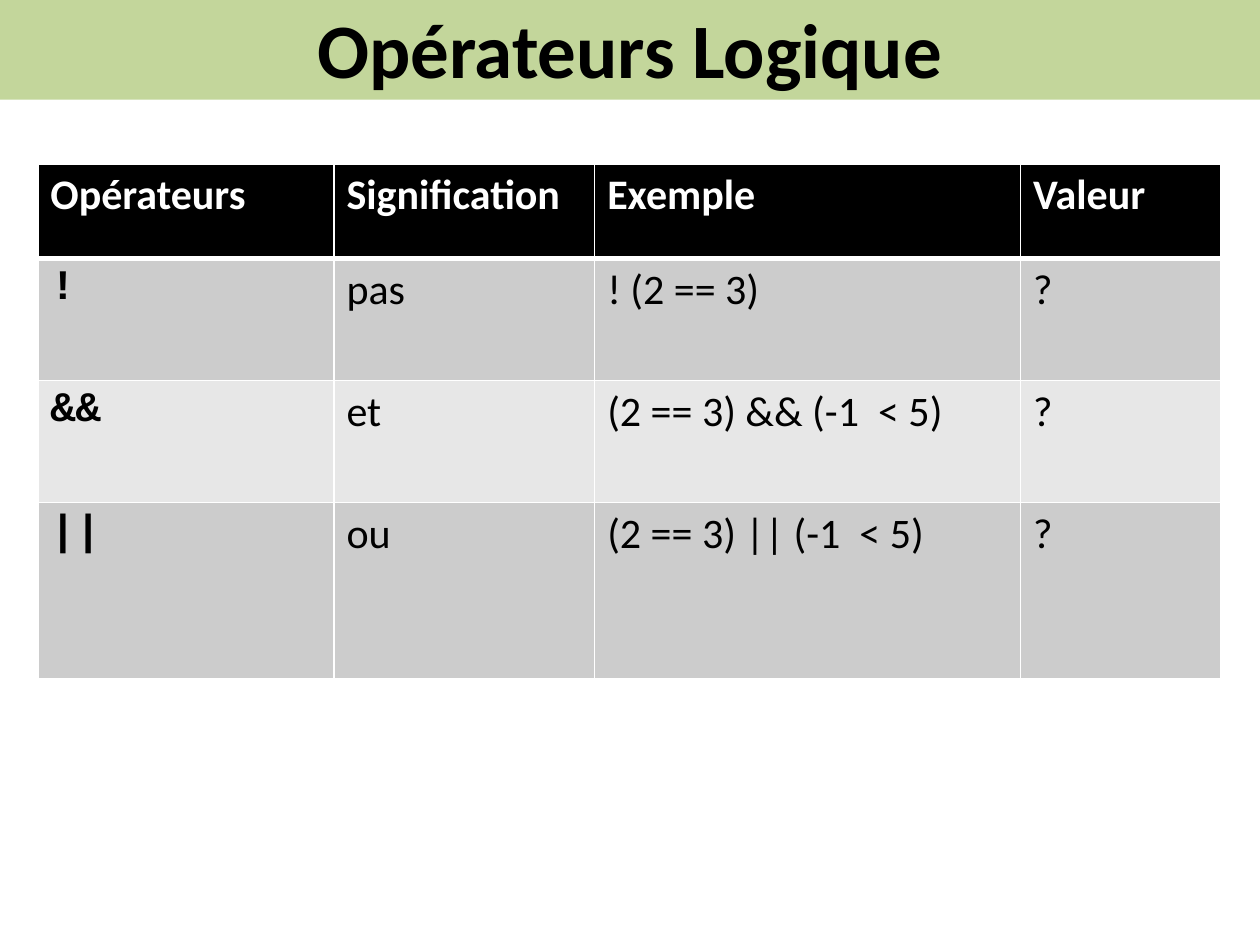
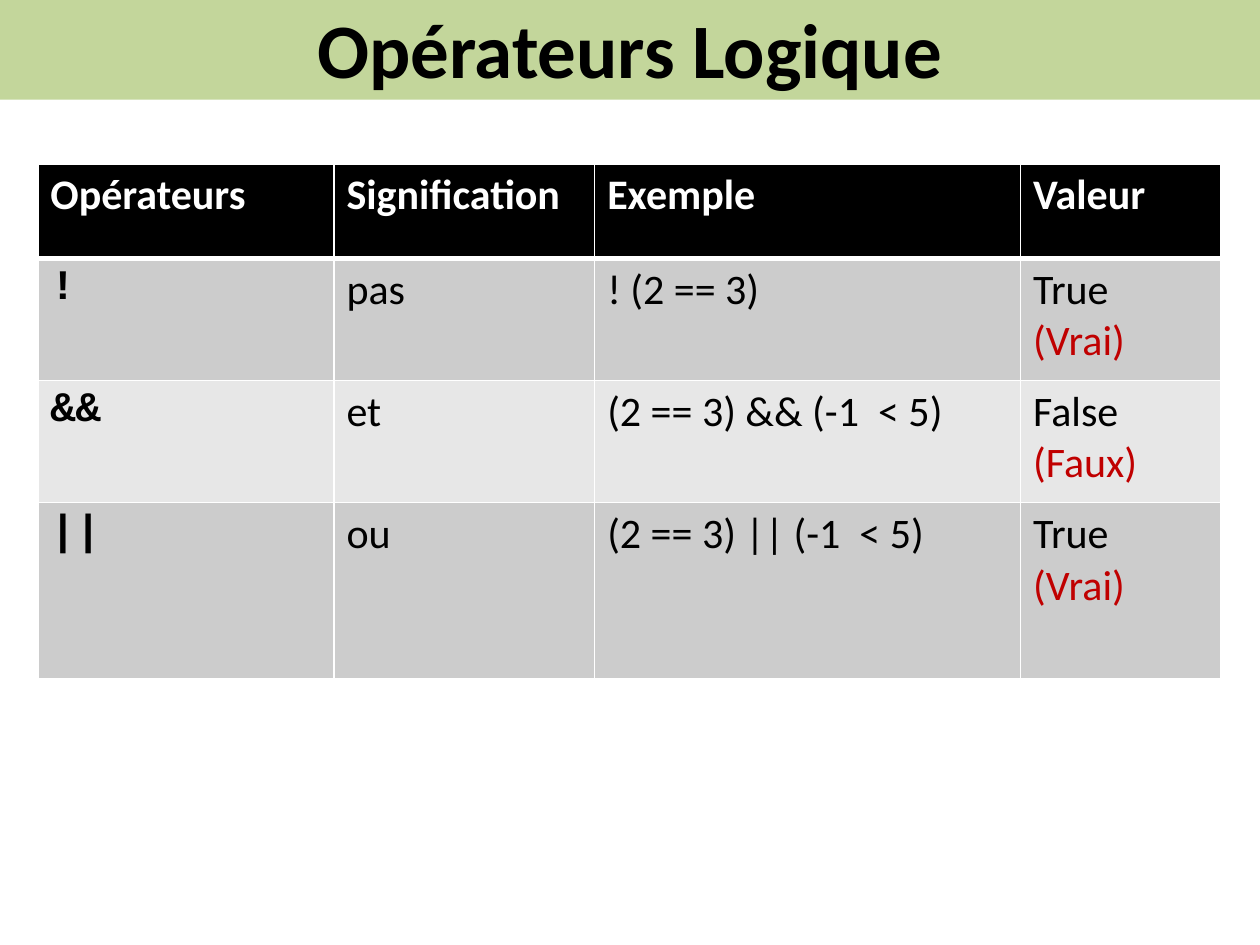
from typing import NamedTuple

import pptx
import pptx.dml.color
import pptx.enum.text
import pptx.oxml
import pptx.oxml.ns
import pptx.util
from pptx.dml.color import RGBColor
from pptx.util import Inches, Pt

BLACK = RGBColor(0x00, 0x00, 0x00)
WHITE = RGBColor(0xFF, 0xFF, 0xFF)
GREEN = RGBColor(0xC3, 0xD6, 0x9B)
RED = RGBColor(0xC0, 0x00, 0x00)
DARK = RGBColor(0xCC, 0xCC, 0xCC)
LIGHT = RGBColor(0xE7, 0xE7, 0xE7)

BODY = "Calibri"
CODE = "Courier New"
TITLE = "Opérateurs Logique"
HEADS = ("Opérateurs", "Signification", "Exemple", "Valeur")
WIDTHS = (2.35, 2.07, 3.38, 1.59)
HEIGHTS = (0.75, 0.97, 0.97, 1.4)


class Rule(NamedTuple):
    sign: str
    sense: str
    sample: str


RULES = (
    Rule("!", "pas", "! (2 == 3)"),
    Rule("&&", "et", "(2 == 3) && (-1  < 5)"),
    Rule("||", "ou", "(2 == 3) || (-1  < 5)"),
)
ASKED = ("?", "?", "?")
SOLVED = ("True\n(Vrai)", "False\n(Faux)", "True\n(Vrai)")


def add_title(slide) -> None:
    title = slide.shapes.title
    title.left, title.top = Inches(0), Inches(-0.03)
    title.width, title.height = Inches(10), Inches(0.82)
    title.fill.solid()
    title.fill.fore_color.rgb = GREEN
    frame = title.text_frame
    frame.text = TITLE
    frame.auto_size = pptx.enum.text.MSO_AUTO_SIZE.NONE
    frame.vertical_anchor = pptx.enum.text.MSO_ANCHOR.MIDDLE
    para = frame.paragraphs[0]
    para.alignment = pptx.enum.text.PP_ALIGN.CENTER
    font = para.runs[0].font
    font.name, font.size, font.bold = BODY, Pt(44), True
    font.color.rgb = BLACK


def add_edges(cell, top: int, bottom: int) -> None:
    """Draw white cell borders; the sides are 1 pt wide."""
    props = cell._tc.get_or_add_tcPr()
    for side, size in (("L", 1), ("R", 1), ("T", top), ("B", bottom)):
        props.append(pptx.oxml.parse_xml(
            f'<a:ln{side} {pptx.oxml.ns.nsdecls("a")} w="{Pt(size)}">'
            f'<a:solidFill><a:srgbClr val="{WHITE}"/></a:solidFill></a:ln{side}>'))


def fill_cell(cell, text: str, row: int, col: int) -> None:
    head = row == 0
    add_edges(cell, 3 if row == 1 else 1, 3 if head else 1)
    cell.fill.solid()
    cell.fill.fore_color.rgb = BLACK if head else DARK if row % 2 else LIGHT
    cell.text_frame.text = text
    for para in cell.text_frame.paragraphs:
        font = para.runs[0].font
        font.name = CODE if col == 0 and not head else BODY
        font.size = Pt(24)
        font.bold = head or col == 0
        note = col == 3 and para.text.startswith("(")
        font.color.rgb = WHITE if head else RED if note else BLACK


def add_grid(slide, values: tuple[str, ...]) -> None:
    rows = [HEADS] + [(*rule, value) for rule, value in zip(RULES, values)]
    table = slide.shapes.add_table(
        len(rows), len(HEADS), Inches(0.3), Inches(1.3),
        Inches(sum(WIDTHS)), Inches(sum(HEIGHTS))).table
    for col, width in enumerate(WIDTHS):
        table.columns[col].width = Inches(width)
    for row, (height, texts) in enumerate(zip(HEIGHTS, rows)):
        table.rows[row].height = Inches(height)
        for col, text in enumerate(texts):
            fill_cell(table.cell(row, col), text, row, col)


def main() -> None:
    deck = pptx.Presentation()
    deck.slide_width, deck.slide_height = Inches(10), Inches(7.5)
    for values in (ASKED, SOLVED):
        slide = deck.slides.add_slide(deck.slide_layouts[5])
        add_title(slide)
        add_grid(slide, values)
    deck.save("out.pptx")


if __name__ == "__main__":
    main()
